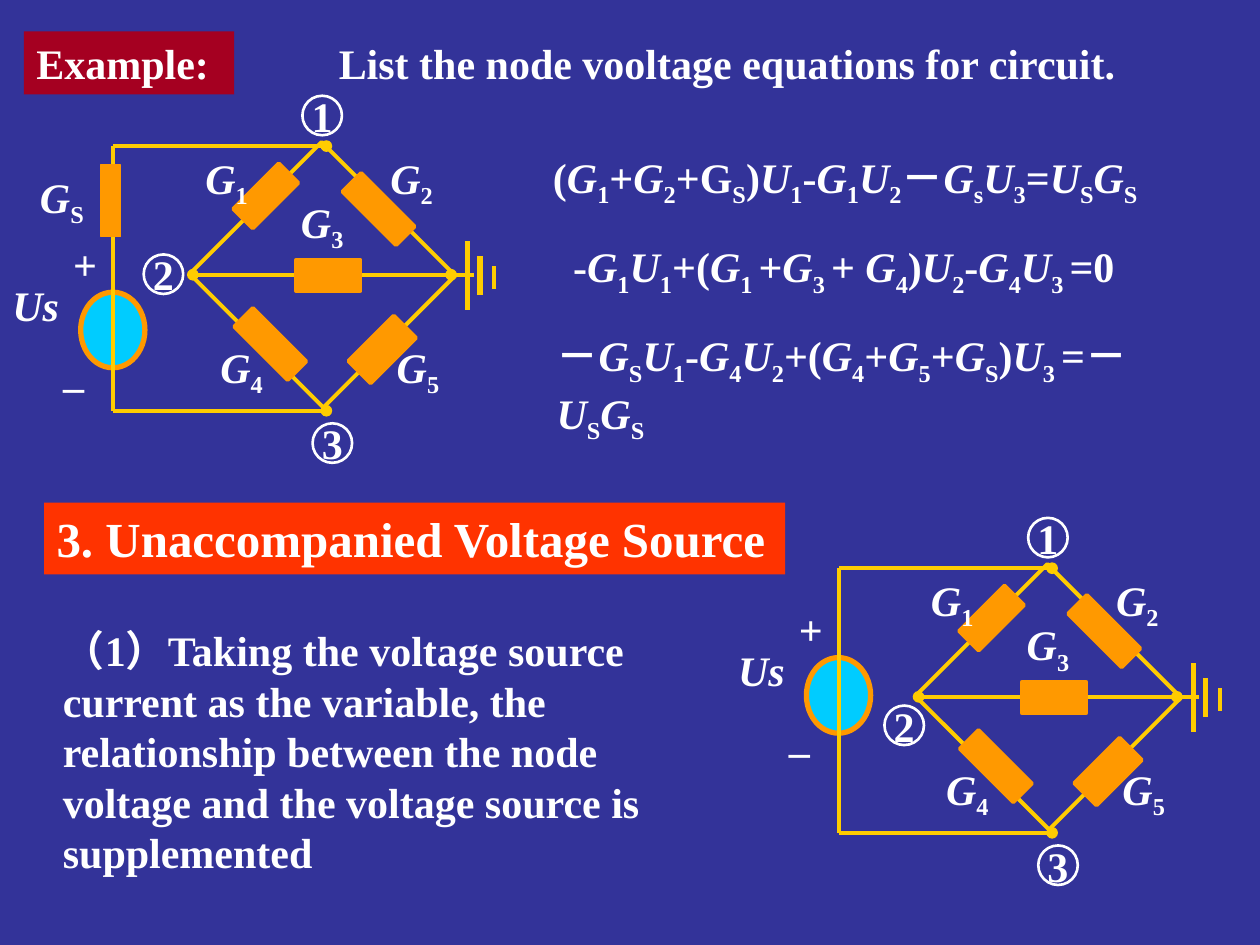
from lxml import etree
from pptx import Presentation
from pptx import util as u
from pptx.dml import color
from pptx.enum import shapes, text
from pptx.oxml import ns

Pt = u.Pt
rgb = color.RGBColor.from_string
RECT, OVAL = shapes.MSO_SHAPE.RECTANGLE, shapes.MSO_SHAPE.OVAL
WIRE, ORANGE, WHITE, BACK = "FFCC00", "FF9900", "FFFFFF", "333399"


def style(sp, fill=None, line=None, width=2.25, ends=()):
    """Format a shape or a connector; ends names the line ends that get a dot."""
    if hasattr(sp, "fill"):
        sp.shadow.inherit = False
        if fill:
            sp.fill.solid()
            sp.fill.fore_color.rgb = rgb(fill)
        else:
            sp.fill.background()
    else:
        etree.SubElement(sp._element.spPr, ns.qn("a:effectLst"))
    if line:
        sp.line.color.rgb = rgb(line)
        sp.line.width = Pt(width)
    else:
        sp.line.fill.background()
    for end in ends:
        etree.SubElement(sp.line._get_or_add_ln(), ns.qn(f"a:{end}"), type="oval")


def write(sp, markup, size=24, wrap=False, center=False, middle=False):
    """Split markup at | into runs: * starts an italic run, ~ a subscript."""
    tf = sp.text_frame
    tf.word_wrap = wrap
    tf.vertical_anchor = text.MSO_ANCHOR.MIDDLE if middle else text.MSO_ANCHOR.TOP
    p = tf.paragraphs[0]
    p.alignment = text.PP_ALIGN.CENTER if center else text.PP_ALIGN.LEFT
    for piece in markup.split("|"):
        r = p.add_run()
        r.text = piece.lstrip("*~")
        r.font.name, r.font.size, r.font.bold = "Times New Roman", Pt(size), True
        r.font.color.rgb = rgb(WHITE)
        if piece.startswith("*"):
            r.font.italic = True
        if piece.startswith("~"):
            r.font._element.set("baseline", "-25000")


prs = Presentation()
prs.slide_width, prs.slide_height = Pt(720), Pt(540)
s = prs.slides.add_slide(prs.slide_layouts[6])
s.background.fill.solid()
s.background.fill.fore_color.rgb = rgb(BACK)

# Title and node equations
for x, y, w, wrap, markup in [
    (186.5, 18, 458, False, "List the node vooltage equations for circuit."),
    (308.9, 82.8, 363.6, False,
     "(|*G|~1|+|*G|~2|+G|~S|)|*U|~1|-|*G|~1|*U|~2|－|*G|~s|*U|~3|=|*U|~S|*G|~S"),
    (320.4, 133.9, 344.2, False,
     "-|*G|~1|*U|~1|+(|*G|~1 |+|*G|~3 |+ |*G|~4|)|*U|~2|-|*G|~4|*U|~3 |=0"),
    (311, 185, 381, True,
     "－|*G|~S|*U|~1|-|*G|~4|*U|~2|+(|*G|~4|+|*G|~5|+|*G|~S|)|*U|~3 |=－|*U|~S|*G|~S"),
]:
    sp = s.shapes.add_textbox(Pt(x), Pt(y), Pt(w), Pt(36))
    write(sp, markup, wrap=wrap)

# Filled text blocks
for x, y, w, h, fill, size, words in [
    (13.7, 18, 120.2, 36, "A50021", 24, "Example:"),
    (25.2, 287.3, 423.4, 41, "FF3300", 28, "3. Unaccompanied Voltage Source"),
    (28.8, 353.5, 397.4, 152.6, BACK, 24,
     "（1）Taking the voltage source current as the variable, the relationship "
     "between the node voltage and the voltage source is supplemented"),
]:
    sp = s.shapes.add_shape(RECT, Pt(x), Pt(y), Pt(w), Pt(h))
    style(sp, fill)
    write(sp, words, size=size, wrap=True)

# Parts of the bridge circuit, shared by both drawings
TOP, MID, BOTTOM, LEFT, APEX = 83.5, 157, 234.7, 64.8, 186.5
resistors = [
    (144, 93.6, 15.8, 36.7, 45), (208.8, 97.9, 15.1, 43.2, 315),
    (146.9, 175, 15.1, 43.2, 315), (209.5, 181.4, 18, 36.7, 45),
    (178.6, 139, 18, 36.7, 270),
]
wires = [
    (APEX, BOTTOM, LEFT, BOTTOM, 2.25, ["headEnd"]),
    (APEX, TOP, LEFT, TOP, 2.25, ["headEnd"]),
    (LEFT, TOP, LEFT, BOTTOM, 2.25, []),
    (110.2, MID, 257.8, MID, 2.25, ["headEnd", "tailEnd"]),
    (252, MID, 270.7, MID, 2.25, []),
    (267.1, 177.1, 267.1, 137.5, 3, []),
    (274.3, 168.5, 274.3, 146.2, 3, []),
    (282.2, 164.9, 282.2, 151.9, 2.25, []),
]
conductances = [(110.2, 83.5, "1"), (216, 83.5, "2"), (164.9, 108.7, "3"),
                (118.8, 191.5, "4"), (219.6, 191.5, "5")]

# Offset of the drawing, rise of its source, place of node 2, series resistor
for dx, dy, rise, node2, series in [
    (0, 0, 0, (82.1, 145.4), True),
    (414.7, 241.2, 32.4, (90.7, 162), False),
]:
    g = s.shapes.add_group_shape().shapes
    sp = g.add_shape(RECT, Pt(130.3 + dx), Pt(103.7 + dy), Pt(108), Pt(106.6))
    sp.rotation = 45
    style(sp, line=WIRE)
    sp = g.add_shape(OVAL, Pt(46.1 + dx), Pt(167 - rise + dy), Pt(36.7), Pt(43.2))
    style(sp, "00CCFF", ORANGE, 3)
    for x1, y1, x2, y2, width, ends in wires:
        sp = g.add_connector(shapes.MSO_CONNECTOR.STRAIGHT,
                             Pt(x1 + dx), Pt(y1 + dy), Pt(x2 + dx), Pt(y2 + dy))
        style(sp, line=WIRE, width=width, ends=ends)
    for x, y, w, h, angle in resistors:
        sp = g.add_shape(RECT, Pt(x + dx), Pt(y + dy), Pt(w), Pt(h))
        sp.rotation = angle
        style(sp, ORANGE, ORANGE)

    labels = [(x, y, 39.6, f"*G|~{n}", False) for x, y, n in conductances]
    labels += [(0, 156.2 - rise, 42.5, "*Us", False),
               (34.6, 132.5 - rise, 28, "+", True),
               (28.8, 193.7 - rise, 26.6, "_", True)]
    if series:
        sp = g.add_shape(RECT, Pt(57.6 + dx), Pt(94.3 + dy), Pt(11.5), Pt(41))
        style(sp, ORANGE, ORANGE, 0.75)
        labels.append((15.8, 94.3, 41, "*G|~S", False))
    for x, y, w, markup, mid in labels:
        sp = g.add_textbox(Pt(x + dx), Pt(y + dy), Pt(w), Pt(36))
        write(sp, markup, center=mid, middle=mid)

    for n, (x, y) in enumerate([(172.8, 54.7), node2, (178.6, 241.9)], 1):
        sp = g.add_shape(OVAL, Pt(x + dx), Pt(y + dy), Pt(22.6), Pt(22.6))
        style(sp, line=WHITE, width=1.5)
        write(sp, str(n), center=True, middle=True)

prs.save("out.pptx")
